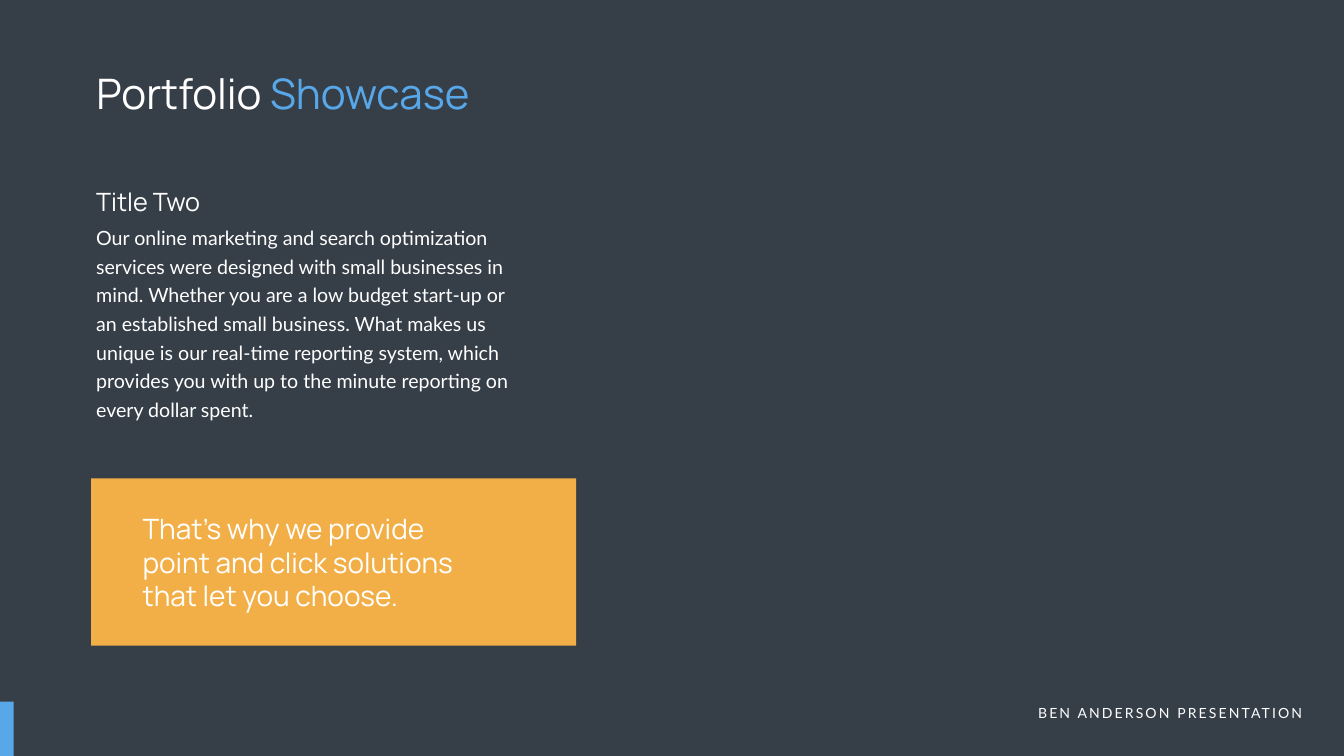
from dataclasses import dataclass

from pptx import Presentation
from pptx import util as u
from pptx.dml import color
from pptx.enum import shapes, text


@dataclass(frozen=True)
class Theme:
    back: str = "363E48"
    white: str = "FFFFFF"
    blue: str = "57A7E9"
    gold: str = "F3AF47"
    head: str = "Manrope"
    body: str = "Lato"
    title: int = 60
    quote: int = 40
    label: int = 36
    copy: int = 28
    foot: int = 20


THEME = Theme()
LEFT = 1.81
BASE = 13.92


def apply(target, values):
    for name, value in values.items():
        setattr(target, name, value)


def paint(fill, tone):
    fill.solid()
    fill.fore_color.rgb = color.RGBColor.from_string(tone)


def write(box, parts, face, size, space=0, **form):
    frame = box.text_frame
    apply(frame, {
        "word_wrap": True,
        "auto_size": text.MSO_AUTO_SIZE.SHAPE_TO_FIT_TEXT,
        "vertical_anchor": text.MSO_ANCHOR.TOP,
    })
    para = frame.paragraphs[0]
    apply(para, {"alignment": text.PP_ALIGN.LEFT, **form})
    for words, tone in parts:
        run = para.add_run()
        run.text = words
        apply(run.font, {"name": face, "size": u.Pt(size)})
        run.font.color.rgb = color.RGBColor.from_string(tone)
        if space:
            run._r.get_or_add_rPr().set("spc", str(space * 100))


def add_title(slide, area, parts):
    title = slide.shapes.title
    names = ("left", "top", "width", "height")
    apply(title, dict(zip(names, map(u.Inches, area))))
    write(title, parts, THEME.head, THEME.title)


def add_text(tree, area, words, face, size, **form):
    box = tree.add_textbox(*map(u.Inches, area))
    write(box, [(words, THEME.white)], face, size, **form)


def add_block(tree, area, tone):
    block = tree.add_shape(shapes.MSO_SHAPE.RECTANGLE, *map(u.Inches, area))
    block.shadow.inherit = False
    paint(block.fill, tone)
    block.line.fill.background()


def main():
    deck = Presentation()
    apply(deck, {"slide_width": u.Inches(26.66), "slide_height": u.Inches(15)})
    slide = deck.slides.add_slide(deck.slide_layouts[5])
    paint(slide.background.fill, THEME.back)
    tree = slide.shapes

    add_title(slide, (LEFT, 1.28, 9.76, 1.11),
              [("Portfolio ", THEME.white), ("Showcase", THEME.blue)])
    add_text(tree, (20.08, BASE, 5.85, 0.44), "BEN ANDERSON PRESENTATION",
             THEME.body, THEME.foot, space=3, alignment=text.PP_ALIGN.RIGHT)
    add_block(tree, (0, BASE, 0.27, 15 - BASE), THEME.blue)
    add_block(tree, (LEFT, 9.49, 9.62, 3.32), THEME.gold)

    group = tree.add_group_shape().shapes
    add_text(group, (LEFT, 4.34, 8.69, 4.07),
             "Our online marketing and search optimization services were "
             "designed with small businesses in mind. Whether you are a low "
             "budget start-up or an established small business. What makes us "
             "unique is our real-time reporting system, which provides you "
             "with up to the minute reporting on every dollar spent.",
             THEME.body, THEME.copy, line_spacing=u.Pt(40.8))
    add_text(group, (LEFT, 3.64, 6.1, 0.71), "Title Two",
             THEME.head, THEME.label)

    add_text(tree, (2.73, 10.1, 7.16, 2.12),
             "That’s why we provide point and click solutions "
             "that let you choose.", THEME.head, THEME.quote)
    deck.save("out.pptx")


if __name__ == "__main__":
    main()
